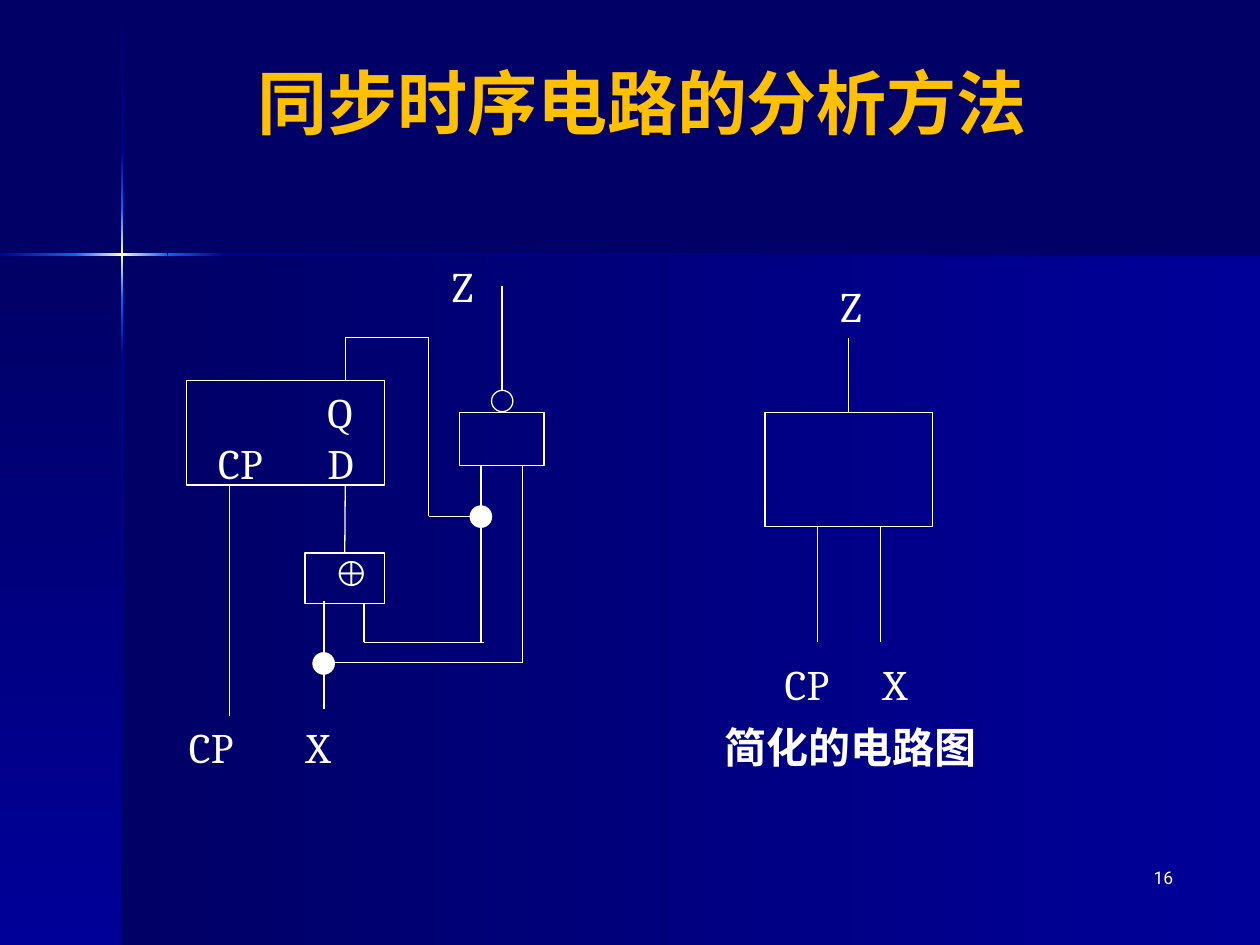
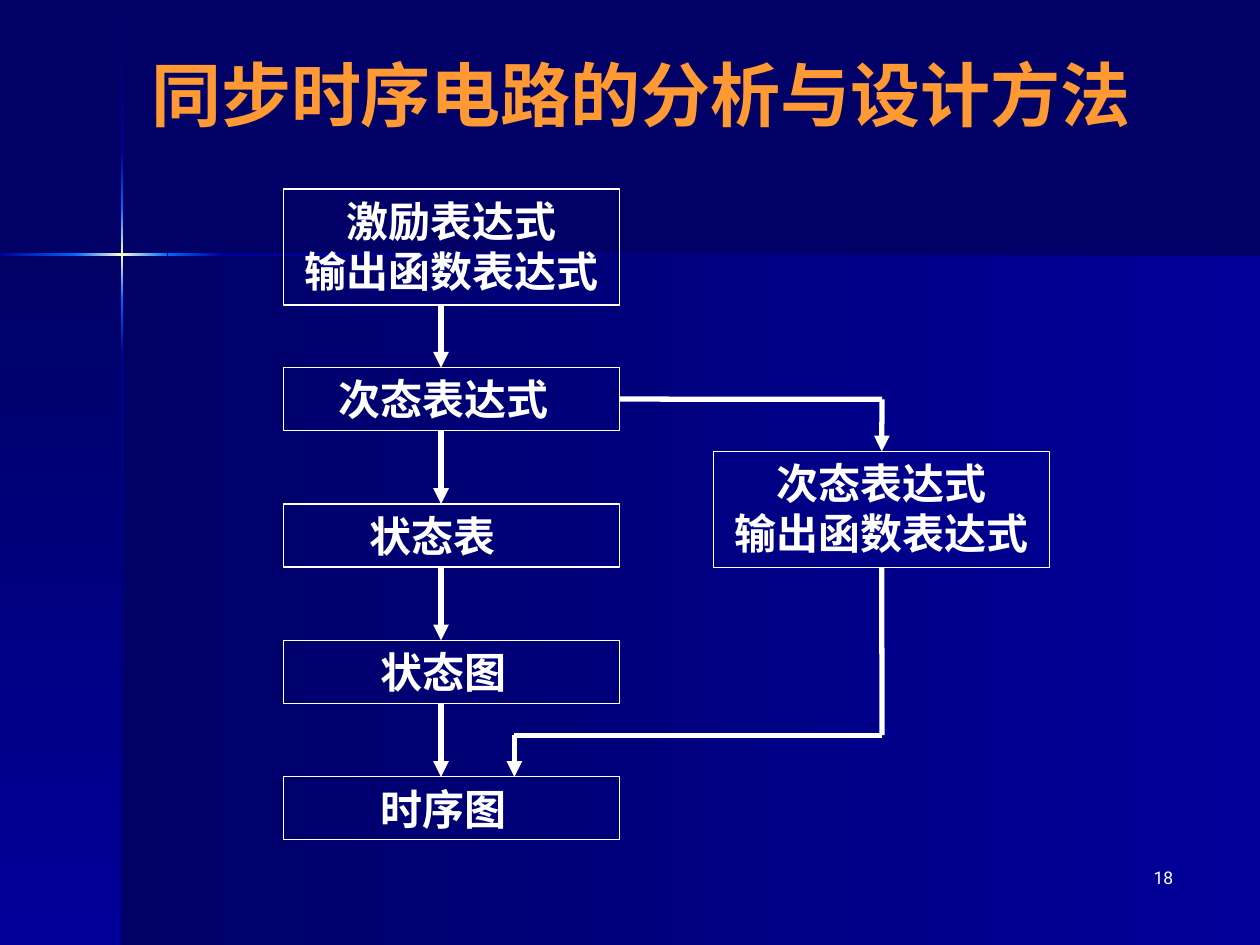
from copy import deepcopy
from lxml import etree
from pptx import Presentation
from pptx.dml.color import RGBColor
from pptx.enum.shapes import MSO_CONNECTOR as Link, MSO_SHAPE as Form
from pptx.enum.text import MSO_ANCHOR as Anchor, PP_ALIGN as Align
from pptx.oxml.ns import qn
from pptx.util import Cm, Pt

hue = RGBColor.from_string
NAVY, BLUE, SKY, GLOW = "000066", "000099", "0066FF", "FFFFCC"
WHITE, GOLD, AMBER = "FFFFFF", "FFC000", "FF9933"


def put(slide, form, spot, text="", size=24, font="Cambria", bold=False,
        align=Align.LEFT, fill=None, pad=0.25, tab=None):
    area = [Cm(n) for n in spot]
    if form is None:
        shape = slide.shapes.add_textbox(*area)
    else:
        shape = slide.shapes.add_shape(form, *area)
        shape.shadow.inherit = False
        shape.line.color.rgb = hue(WHITE)
        shape.line.width = Pt(0.75)
        if fill:
            shape.fill.solid()
            shape.fill.fore_color.rgb = hue(fill)
        else:
            shape.fill.background()
    if text:
        frame = shape.text_frame
        frame.word_wrap = True
        frame.vertical_anchor = Anchor.TOP
        frame.margin_right = Cm(pad)
        frame.text = text
        for para in frame.paragraphs:
            para.alignment = align
            if tab:
                stops = etree.SubElement(para._p.get_or_add_pPr(), qn("a:tabLst"))
                etree.SubElement(stops, qn("a:tab"), pos=str(Cm(tab)), algn="l")
            para.font.size = Pt(size)
            para.font.name = font
            para.font.bold = bold
            para.font.color.rgb = hue(WHITE)
    return shape


def wire(slide, x1, y1, x2, y2, width=0.75, arrow=False):
    line = slide.shapes.add_connector(Link.STRAIGHT, Cm(x1), Cm(y1), Cm(x2), Cm(y2))
    line.line.color.rgb = hue(WHITE)
    line.line.width = Pt(width)
    if arrow:
        etree.SubElement(line.line._get_or_add_ln(), qn("a:tailEnd"), type="triangle")
    etree.SubElement(line.element.spPr, qn("a:effectLst"))
    return line


deck = Presentation()
deck.slide_width, deck.slide_height = Cm(25.4), Cm(19.05)
layout = deck.slide_layouts[5]
layout.background.fill.solid()
layout.background.fill.fore_color.rgb = hue(NAVY)
gates = deck.slides.add_slide(layout)
flow = deck.slides.add_slide(layout)

bars = [
    (2.46, 5.13, 22.94, 13.92, (NAVY, BLUE)),
    (0, 5.13, 2.46, 13.92, (NAVY, BLUE)),
    (2.44, 0.03, 0.05, 3.07, (NAVY, BLUE)),
    (2.44, 7.16, 0.05, 11.89, (BLUE, NAVY)),
    (4.5, 5.11, 20.9, 0.05, (BLUE, NAVY)),
    (2.44, 6.05, 0.05, 1.12, (SKY, BLUE)),
    (2.44, 3.07, 0.05, 1.12, (BLUE, SKY)),
    (2.44, 4.19, 0.05, 1.85, (SKY, GLOW, SKY)),
    (0, 5.11, 1.55, 0.05, (BLUE, SKY)),
    (3.38, 5.11, 1.12, 0.05, (SKY, BLUE)),
    (1.52, 5.11, 1.85, 0.05, (SKY, GLOW, SKY)),
]
for i, (x, y, w, h, tones) in enumerate(bars):
    bar = put(gates, Form.RECTANGLE, (x, y, w, h))
    bar.line.fill.background()
    bar.fill.gradient()
    bar.fill.gradient_angle = 270 if h > w else 0
    stops = bar.element.find(".//" + qn("a:gsLst"))
    if len(tones) == 3:
        stops.append(deepcopy(stops[0]))
    for k, (stop, tone) in enumerate(zip(bar.fill.gradient_stops, tones)):
        stop.color.rgb = hue(tone)
        stop.position = k / (len(tones) - 1)
    bar.element.nvSpPr.cNvPr.id = 20 + i
    layout.shapes.element.insert(2 + i, bar.element)

heads = [
    (gates, "同步时序电路的分析方法", "Times New Roman", GOLD, 1.3, 0.99, "16"),
    (flow, "同步时序电路的分析与设计方法", "Roboto", AMBER, 1.27, 0.84, "18"),
]
for slide, text, font, tone, x, y, page in heads:
    title = slide.shapes.title
    title.left, title.top, title.width, title.height = Cm(x), Cm(y), Cm(23.29), Cm(2.11)
    title.text_frame.text = text
    title.text_frame.vertical_anchor = Anchor.MIDDLE
    para = title.text_frame.paragraphs[0]
    para.alignment = Align.CENTER
    para.font.size = Pt(40)
    para.font.name = font
    para.font.bold = True
    para.font.color.rgb = hue(tone)
    put(slide, None, (18.62, 17.35, 5.28, 1.27), page, 10, "Roboto", align=Align.RIGHT)

block = put(gates, Form.RECTANGLE, (15.42, 8.31, 3.38, 2.31))
latch = put(gates, Form.RECTANGLE, (3.76, 7.67, 3.99, 2.11), "\tQ\nCP\tD", tab=2.2)
latch.text_frame.margin_left = Cm(0.64)
xor = put(gates, Form.RECTANGLE, (6.15, 11.15, 1.6, 1.02))
put(gates, Form.RECTANGLE, (9.27, 8.31, 1.7, 1.07))
for x, y, fill in [(9.91, 7.87, None), (9.48, 10.2, WHITE), (6.31, 13.16, WHITE)]:
    put(gates, Form.OVAL, (x, y, 0.43, 0.43), fill=fill)

wire(gates, 17.11, 8.31, 17.11, 6.81).begin_connect(block, 0)
wire(gates, 6.96, 9.78, 6.96, 11.15).end_connect(xor, 0)
for points in [
    (16.48, 12.95, 16.48, 10.62),
    (17.75, 12.95, 17.75, 10.62),
    (6.96, 7.67, 6.96, 6.81),
    (6.96, 6.81, 8.64, 6.81),
    (8.64, 6.81, 8.64, 10.41),
    (8.64, 10.41, 9.7, 10.41),
    (9.7, 9.38, 9.7, 12.95),
    (10.54, 9.38, 10.54, 13.36),
    (4.62, 9.78, 4.62, 14.43),
    (7.34, 12.17, 7.34, 12.95),
    (7.34, 12.95, 9.75, 12.95),
    (6.53, 12.12, 6.53, 14.3),
    (6.53, 13.36, 10.54, 13.36),
    (10.12, 5.77, 10.12, 7.87),
]:
    wire(gates, *points)

for text, x, y, w in [
    ("Z", 8.86, 5.13, 0.99), ("CP", 3.56, 14.43, 1.57), ("X", 5.92, 14.43, 1.07),
    ("Z", 16.69, 5.54, 0.99), ("CP", 15.57, 13.16, 1.52), ("X", 17.55, 13.16, 1.07),
]:
    put(gates, None, (x, y, w, 1.27), text)
put(gates, None, (6.48, 11, 1.24, 1.12), "⊕", 20, "Times New Roman")
put(gates, None, (14.35, 14.43, 5.99, 1.27), "简化的电路图", bold=True)

steps = [
    ("激励表达式\n输出函数表达式", 5.72, 3.81, 2.34, 0.25),
    ("次态表达式", 5.72, 7.41, 1.27, 0.58),
    ("状态表", 5.72, 10.16, 1.27, 1.02),
    ("状态图", 5.72, 12.91, 1.27, 0.58),
    ("时序图", 5.72, 15.66, 1.27, 0.58),
    ("次态表达式\n输出函数表达式", 14.39, 9.1, 2.34, 0.25),
]
boxes = [put(flow, Form.RECTANGLE, (x, y, 6.77, h), text, font="Roboto", bold=True,
             align=Align.CENTER, pad=pad) for text, x, y, h, pad in steps]
for (_, _, y, h, _), (_, _, below, _, _) in zip(steps[:4], steps[1:5]):
    wire(flow, 8.89, y + h, 8.89, below, 3, True)

side = boxes[5]
wire(flow, 12.49, 8.05, 17.78, 8.05, 3).begin_connect(boxes[1], 3)
wire(flow, 17.78, 8.05, 17.78, 9.1, 3, True).end_connect(side, 0)
wire(flow, 17.78, 11.44, 17.78, 14.82, 3).begin_connect(side, 2)
wire(flow, 10.37, 14.82, 17.78, 14.82, 3)
wire(flow, 10.37, 14.82, 10.37, 15.66, 3, True)

deck.save("out.pptx")
